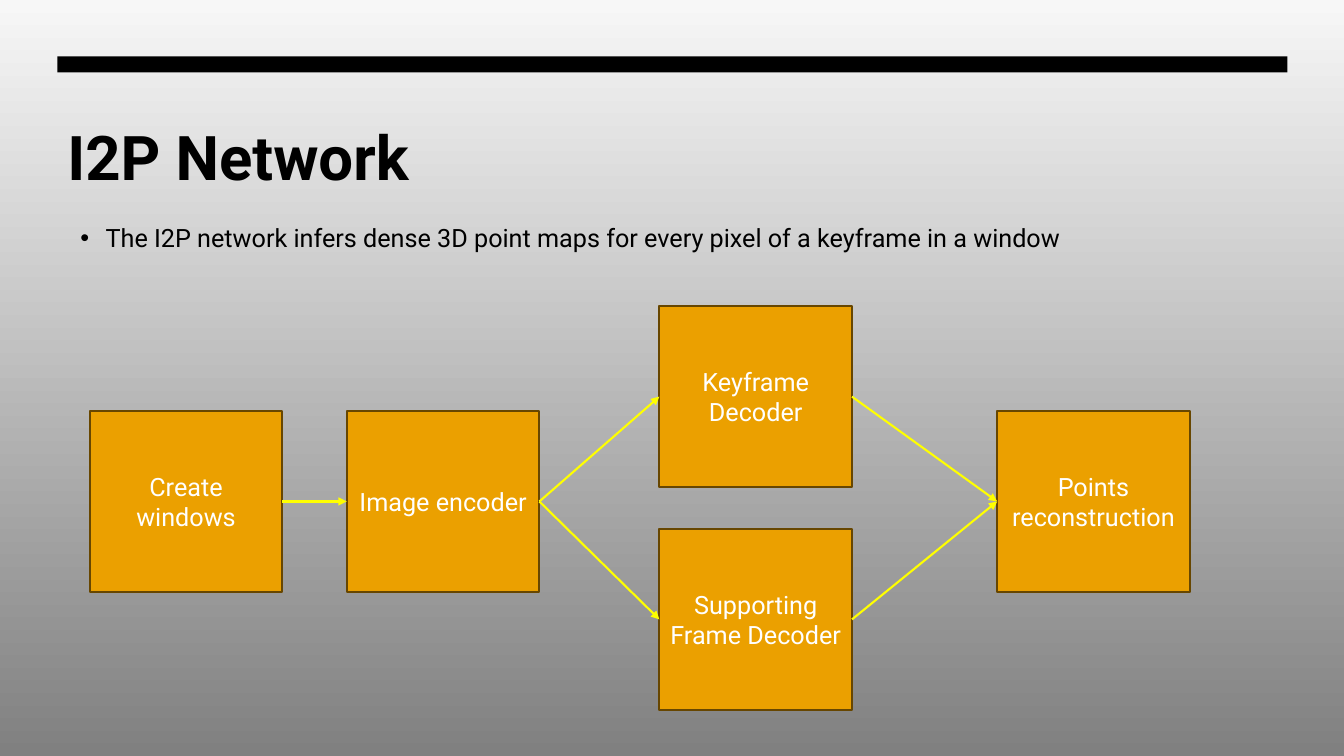
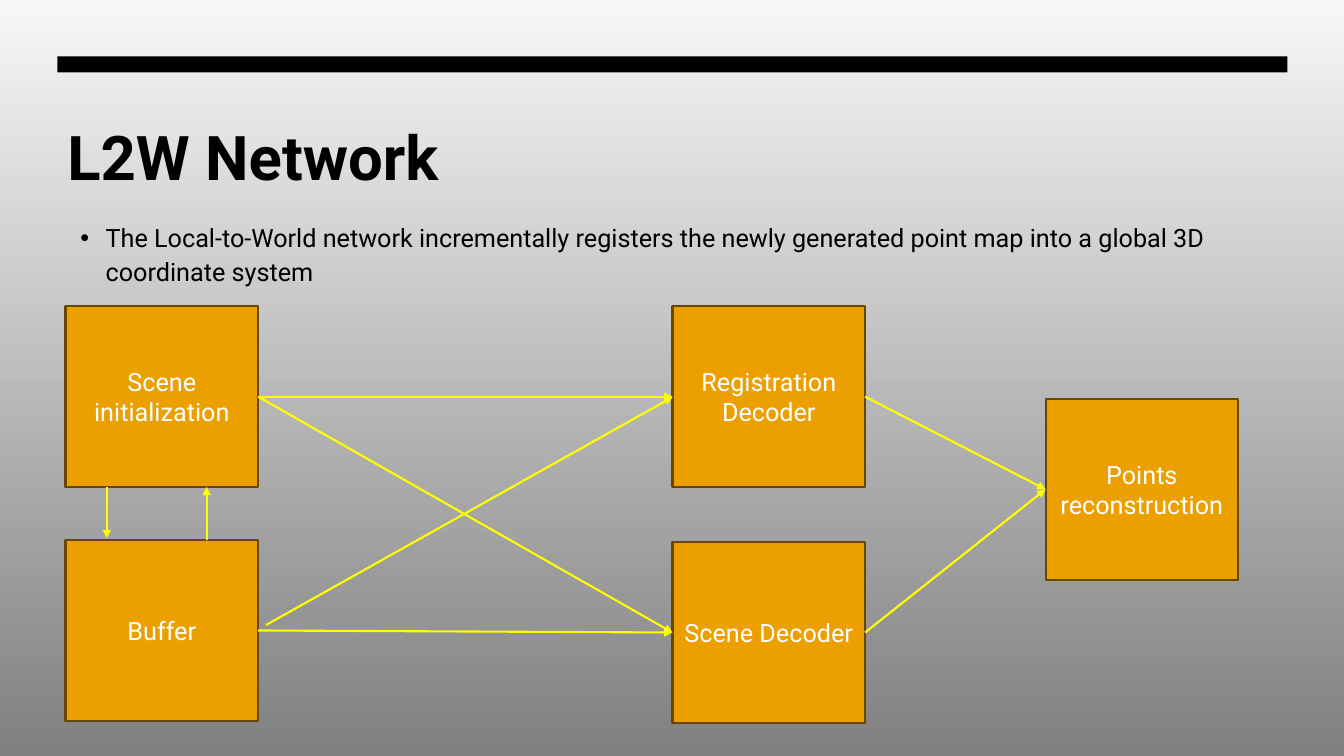
from pptx import Presentation
from pptx.dml.color import RGBColor
from pptx.enum.shapes import MSO_CONNECTOR as Conn, MSO_SHAPE as Geo
from pptx.enum.text import MSO_ANCHOR as Anchor, PP_ALIGN as Align
from pptx.oxml.ns import qn
from pptx.util import Inches, Pt
from lxml.etree import SubElement as Sub

BLACK = RGBColor(0x00, 0x00, 0x00)
WHITE = RGBColor(0xFF, 0xFF, 0xFF)
PALE = RGBColor(0xF7, 0xF7, 0xF7)
GRAY = RGBColor(0x80, 0x80, 0x80)
AMBER = RGBColor(0xEB, 0xA0, 0x00)
BROWN = RGBColor(0x67, 0x46, 0x00)
YELLOW = RGBColor(0xFF, 0xFF, 0x00)

# Content: boxes are name: (left, top), links join box sides, lines are free arrows
SLIDES = [
    {
        "title": "I2P Network",
        "body": "The I2P network infers dense 3D point maps for every pixel "
                "of a keyframe in a window",
        "boxes": {
            "Create windows": (0.89, 4.08),
            "Image encoder": (3.44, 4.08),
            "Keyframe Decoder": (6.54, 3.04),
            "Supporting Frame Decoder": (6.54, 5.25),
            "Points reconstruction": (9.89, 4.08),
        },
        "links": [
            ("Create windows", "Image encoder"),
            ("Image encoder", "Keyframe Decoder"),
            ("Image encoder", "Supporting Frame Decoder"),
            ("Keyframe Decoder", "Points reconstruction"),
            ("Supporting Frame Decoder", "Points reconstruction"),
        ],
        "lines": [],
    },
    {
        "title": "L2W Network",
        "body": "The Local-to-World network incrementally registers the newly "
                "generated point map into a global 3D coordinate system",
        "boxes": {
            "Scene initialization": (0.65, 3.04),
            "Buffer": (0.65, 5.36),
            "Registration Decoder": (6.67, 3.04),
            "Scene Decoder": (6.67, 5.38),
            "Points reconstruction": (10.37, 3.96),
        },
        "links": [
            ("Scene initialization", "Registration Decoder"),
            ("Scene initialization", "Scene Decoder"),
            ("Buffer", "Scene Decoder"),
            ("Registration Decoder", "Points reconstruction"),
            ("Scene Decoder", "Points reconstruction"),
        ],
        "lines": [
            (2.64, 6.2, 6.67, 3.94),
            (1.06, 4.83, 1.06, 5.34),
            (2.05, 5.36, 2.05, 4.83),
        ],
    },
]

# Shared places and formats
BAND = (0.57, 0.56, 12.2, 0.16)
TITLE = (0.57, 1.07, 12.2, 1.0)
BODY = (0.7, 2.13, 12.2, 0.9)
BOX_W, BOX_H = 1.91, 1.79
LEFT, RIGHT = 1, 3  # connection sites of a rectangle
HEAD = {"name": "Roboto", "size": Pt(44), "bold": True}
TEXT = {"name": "Roboto", "size": Pt(18), "bold": False}


def inch(*nums):
    return [Inches(n) for n in nums]


def put(item, **vals):
    for key, val in vals.items():
        setattr(item, key, val)


def write(frame, text, font, color):
    frame.word_wrap = True
    para = frame.paragraphs[0]
    run = para.add_run()
    run.text = text
    put(run.font, **font)
    run.font.color.rgb = color
    return para


def rect(slide, area, fill, edge=None):
    shape = slide.shapes.add_shape(Geo.RECTANGLE, *inch(*area))
    shape.shadow.inherit = False
    shape.fill.solid()
    shape.fill.fore_color.rgb = fill
    if edge is None:
        shape.line.fill.background()
    else:
        shape.line.color.rgb = edge
        shape.line.width = Pt(1.5)
    return shape


def box(slide, name, spot):
    shape = rect(slide, (*spot, BOX_W, BOX_H), AMBER, BROWN)
    shape.text_frame.vertical_anchor = Anchor.MIDDLE
    write(shape.text_frame, name, TEXT, WHITE).alignment = Align.CENTER
    return shape


def arrow(slide, ends=(0, 0, 0, 0)):
    line = slide.shapes.add_connector(Conn.STRAIGHT, *inch(*ends))
    line.line.color.rgb = YELLOW
    line.line.width = Pt(1.5)
    Sub(line.line._get_or_add_ln(), qn("a:tailEnd"), type="triangle")
    Sub(line._element.spPr, qn("a:effectLst"))
    return line


def heading(slide, title, body):
    rect(slide, BAND, BLACK)
    frame = slide.shapes.add_textbox(*inch(*TITLE)).text_frame
    frame.margin_top = Inches(0.11)
    write(frame, title, HEAD, BLACK)
    frame = slide.shapes.add_textbox(*inch(*BODY)).text_frame
    para = write(frame, body, TEXT, BLACK)
    put(para, line_spacing=1.1, space_before=Pt(10))
    # Hanging bullet
    props = para._p.get_or_add_pPr()
    props.set("marL", str(Inches(0.25)))
    props.set("indent", str(Inches(-0.25)))
    Sub(props, qn("a:buFont"), typeface="Arial")
    Sub(props, qn("a:buChar"), char="•")


def build(deck, data):
    slide = deck.slides.add_slide(deck.slide_layouts[6])
    heading(slide, data["title"], data["body"])
    boxes = {name: box(slide, name, spot)
             for name, spot in data["boxes"].items()}
    for start, end in data["links"]:
        line = arrow(slide)
        line.begin_connect(boxes[start], RIGHT)
        line.end_connect(boxes[end], LEFT)
    for ends in data["lines"]:
        arrow(slide, ends)


def main():
    deck = Presentation()
    put(deck, slide_width=Inches(13.33), slide_height=Inches(7.5))
    # Shared background, from pale at the top to gray
    fill = deck.slide_master.background.fill
    fill.gradient()
    fill.gradient_angle = 270
    for stop, color in zip(fill.gradient_stops, (PALE, GRAY)):
        stop.color.rgb = color
    for data in SLIDES:
        build(deck, data)
    deck.save("out.pptx")


if __name__ == "__main__":
    main()
